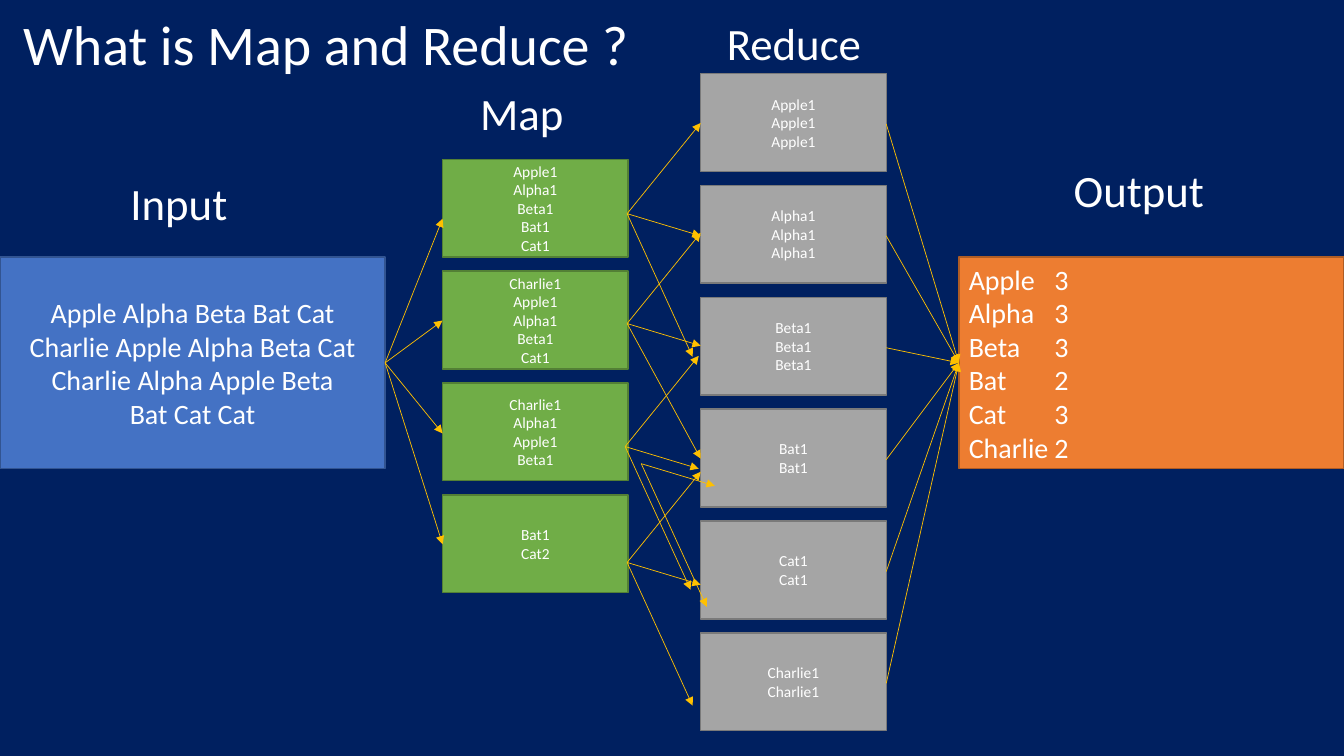
from collections import namedtuple
from dataclasses import dataclass

from lxml import etree
from pptx import Presentation
from pptx import util as u
from pptx.dml.color import RGBColor
from pptx.enum import shapes, text
from pptx.oxml import ns

Box = namedtuple("Box", "left top width height")


@dataclass(frozen=True)
class Theme:
    """Colours, font and type sizes of the deck."""
    font: str = "Calibri"
    background: str = "002060"
    ink: str = "FFFFFF"
    arrow: str = "FFC000"
    input: tuple = ("4472C4", "325491")
    output: tuple = ("ED7D31", "AF5C24")
    map: tuple = ("70AD47", "538035")
    reduce: tuple = ("A5A5A5", "7A7A7A")
    title: int = 40
    heading: int = 32
    body: int = 20
    record: int = 11


THEME = Theme()
PITCH = 1.11
FAN = {"up": (0.73, -0.9), "next": (0.73, 0.22), "down": (0.65, 1.42), "steep": (0.73, 1.34)}
SPLITS = ["Apple1 Alpha1 Beta1 Bat1 Cat1", "Charlie1 Apple1 Alpha1 Beta1 Cat1",
          "Charlie1 Alpha1 Apple1 Beta1", "Bat1 Cat2"]
GROUPS = ["Apple1 Apple1 Apple1", "Alpha1 Alpha1 Alpha1", "Beta1 Beta1 Beta1",
          "Bat1 Bat1", "Cat1 Cat1", "Charlie1 Charlie1"]
SENTENCES = ["Apple Alpha Beta Bat Cat Charlie Apple Alpha Beta Cat Charlie Alpha Apple Beta",
             "Bat Cat Cat"]
COUNTS = {"Apple": 3, "Alpha": 3, "Beta": 3, "Bat": 2, "Cat": 3, "Charlie": 2}
SHUFFLE = [((6.22, 2.12), ("down", "up", "next")),
           ((6.22, 3.21), ("steep", "up", "next")),
           ((6.2, 4.43), ("down", "up", "next")),
           ((6.22, 5.58), ("down", "up", "next")),
           ((6.36, 4.6), ("down", "next"))]


def inches(values):
    """Turn plain numbers into lengths."""
    return [u.Inches(value) for value in values]


def write(frame, lines, size, align=text.PP_ALIGN.CENTER, spacing=1.0, tab=None):
    """Fill a text frame with one paragraph per line."""
    frame.word_wrap = True
    frame.auto_size = text.MSO_AUTO_SIZE.NONE
    frame.vertical_anchor = text.MSO_ANCHOR.MIDDLE
    for index, line in enumerate(lines):
        paragraph = frame.add_paragraph() if index else frame.paragraphs[0]
        paragraph.alignment = align
        paragraph.line_spacing = spacing
        run = paragraph.add_run()
        run.text = line
        run.font.name = THEME.font
        run.font.size = u.Pt(size)
        run.font.color.rgb = RGBColor.from_string(THEME.ink)
        if tab:
            stops = etree.SubElement(paragraph._p.get_or_add_pPr(), ns.qn("a:tabLst"))
            etree.SubElement(stops, ns.qn("a:tab"), pos=str(u.Inches(tab)), algn="l")


def add_title(slide, box, wording):
    """Place the slide title."""
    title = slide.shapes.title
    title.left, title.top, title.width, title.height = inches(box)
    title.text_frame.margin_left = u.Inches(0.23)
    write(title.text_frame, [wording], THEME.title, align=text.PP_ALIGN.LEFT, spacing=0.9)


def add_heading(slide, box, wording):
    """Place the heading of a stage."""
    heading = slide.shapes.add_textbox(*inches(box))
    write(heading.text_frame, [wording], THEME.heading, spacing=0.9)


def add_block(slide, box, lines, colors, size, **style):
    """Draw one filled rectangle with its text."""
    block = slide.shapes.add_shape(shapes.MSO_SHAPE.RECTANGLE, *inches(box))
    block.shadow.inherit = False
    fill, outline = colors
    block.fill.solid()
    block.fill.fore_color.rgb = RGBColor.from_string(fill)
    block.line.color.rgb = RGBColor.from_string(outline)
    block.line.width = u.Pt(1)
    write(block.text_frame, lines, size, **style)


def add_stack(slide, box, groups, colors):
    """Stack equally spaced blocks, starting at the given first block."""
    for row, records in enumerate(groups):
        add_block(slide, box._replace(top=box.top + row * PITCH), records.split(),
                  colors, THEME.record)


def add_arrow(slide, start, end):
    """Draw a thin arrow between two points."""
    arrow = slide.shapes.add_connector(shapes.MSO_CONNECTOR.STRAIGHT, *inches(start + end))
    arrow.line.color.rgb = RGBColor.from_string(THEME.arrow)
    arrow.line.width = u.Pt(0.5)
    etree.SubElement(arrow.line._get_or_add_ln(), ns.qn("a:tailEnd"), type="triangle")
    etree.SubElement(arrow._element.spPr, ns.qn("a:effectLst"))


def add_arrows(slide, source, mapper, reducer, result):
    """Link input, map, reduce and output."""
    origin = (source.left + source.width, source.top + source.height / 2)
    for target in (2.17, 3.18, 4.3, 5.4):
        add_arrow(slide, origin, (mapper.left, target))
    for (x, y), directions in SHUFFLE:
        for direction in directions:
            across, down = FAN[direction]
            add_arrow(slide, (x, y), (x + across, y + down))
    goal = (result.left, result.top + result.height / 2)
    for row in range(len(GROUPS)):
        add_arrow(slide, (reducer.left + reducer.width, reducer.top + 0.5 + row * PITCH), goal)


def add_map_reduce_slide(deck):
    """Build the word count diagram."""
    slide = deck.slides.add_slide(deck.slide_layouts[5])
    slide.background.fill.solid()
    slide.background.fill.fore_color.rgb = RGBColor.from_string(THEME.background)
    source, result = Box(0, 2.55, 3.82, 2.1), Box(9.51, 2.55, 3.82, 2.1)
    mapper, reducer = Box(4.39, 1.58, 1.84, 0.97), Box(6.95, 0.73, 1.84, 0.97)
    add_title(slide, Box(0, 0.08, 13.33, 0.78), "What is Map and Reduce ?")
    add_block(slide, source, SENTENCES, THEME.input, THEME.body)
    add_block(slide, result, [f"{word}\t{count}" for word, count in COUNTS.items()],
              THEME.output, THEME.body, align=text.PP_ALIGN.LEFT, tab=0.85)
    add_stack(slide, mapper, SPLITS, THEME.map)
    add_stack(slide, reducer, GROUPS, THEME.reduce)
    add_arrows(slide, source, mapper, reducer, result)
    for wording, left, top in (("Map", 3.4, 0.75), ("Reduce", 6.1, 0.05),
                               ("Input", 0, 1.64), ("Output", 9.52, 1.51)):
        add_heading(slide, Box(left, top, 3.55, 0.81), wording)


def main():
    """Create and save the deck."""
    deck = Presentation()
    deck.slide_width, deck.slide_height = inches((13.33, 7.5))
    add_map_reduce_slide(deck)
    deck.save("out.pptx")


if __name__ == "__main__":
    main()
